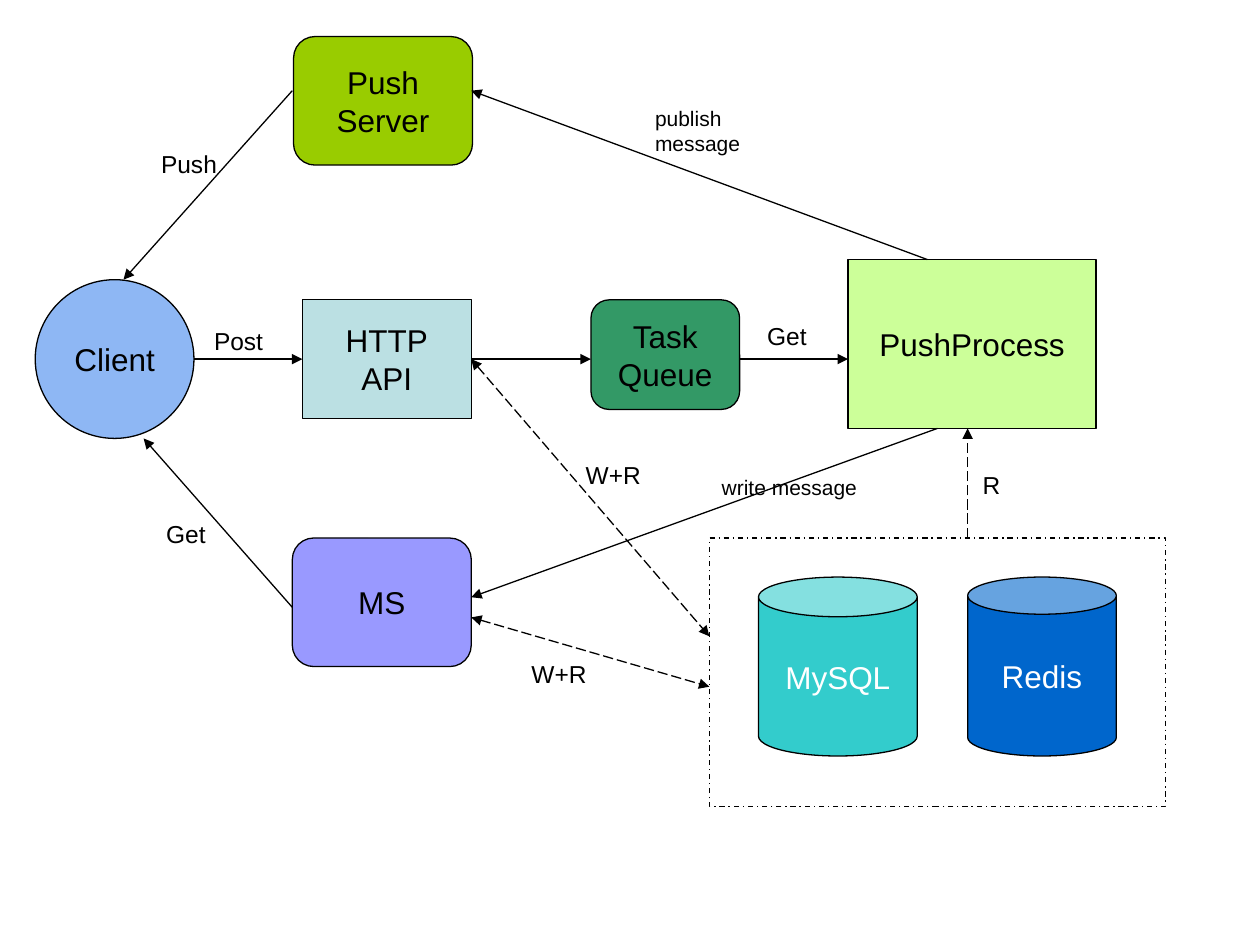
import pptx
import pptx.util
import pptx.dml.color
import pptx.oxml.ns
import pptx.enum.dml
import pptx.enum.shapes
import pptx.enum.text
from dataclasses import dataclass
from lxml import etree

Inches, Pt = pptx.util.Inches, pptx.util.Pt
RGB = pptx.dml.color.RGBColor.from_string
SHAPE = pptx.enum.shapes.MSO_SHAPE
DASH = pptx.enum.dml.MSO_LINE
ANCHOR = pptx.enum.text.MSO_ANCHOR
ALIGN = pptx.enum.text.PP_ALIGN
AUTOSIZE = pptx.enum.text.MSO_AUTO_SIZE


@dataclass(frozen=True)
class Theme:
    font: str = "Arial"
    ink: str = "000000"
    light: str = "FFFFFF"
    line: float = 0.75
    node: int = 18
    label: int = 14
    note: int = 12
    client: str = "8EB7F4"
    api: str = "BBE0E3"
    queue: str = "339966"
    process: str = "CCFF99"
    ms: str = "9999FF"
    server: str = "99CC00"
    mysql: str = "33CCCC"
    redis: str = "0066CC"


T = Theme()

# Shared coordinates
FLOW_Y = 2.85          # main row of arrows
API_RIGHT = 3.74       # right edge of the API and MS boxes
STORE_LEFT, STORE_TOP = 5.63, 4.27

# name: (preset, left, top, width, height, fill, text colour, lines)
NODES = {
    "client": (SHAPE.OVAL, 0.28, 2.22, 1.26, 1.26, T.client, T.ink, ["Client"]),
    "api": (SHAPE.RECTANGLE, 2.4, 2.38, 1.34, 0.94, T.api, T.ink, ["HTTP", "API"]),
    "queue": (SHAPE.ROUNDED_RECTANGLE, 4.69, 2.38, 1.18, 0.87, T.queue, T.ink,
              ["Task", "Queue"]),
    "process": (SHAPE.RECTANGLE, 6.73, 2.06, 1.97, 1.34, T.process, T.ink,
                ["PushProcess"]),
    "ms": (SHAPE.ROUNDED_RECTANGLE, 2.32, 4.27, 1.42, 1.02, T.ms, T.ink, ["MS"]),
    "server": (SHAPE.ROUNDED_RECTANGLE, 2.33, 0.29, 1.42, 1.02, T.server, T.ink,
               ["Push", "Server"]),
    "store": (SHAPE.RECTANGLE, STORE_LEFT, STORE_TOP, 3.62, 2.13, None, T.ink, []),
    "mysql": (SHAPE.CAN, 6.02, 4.58, 1.26, 1.42, T.mysql, T.light, ["MySQL"]),
    "redis": (SHAPE.CAN, 7.68, 4.58, 1.18, 1.42, T.redis, T.light, ["Redis"]),
}

# (from, to, options)
ARROWS = [
    ((1.54, FLOW_Y), (2.4, FLOW_Y), {"end": ("api", 1)}),
    ((API_RIGHT, FLOW_Y), (4.69, FLOW_Y), {"begin": ("api", 3)}),
    ((5.87, FLOW_Y), (6.73, FLOW_Y), {}),
    ((2.32, 0.72), (0.98, 2.22), {}),
    ((2.32, 4.82), (1.14, 3.48), {}),
    ((7.36, 2.06), (API_RIGHT, 0.72), {}),
    ((7.44, 3.4), (API_RIGHT, 4.74), {}),
    ((7.68, STORE_TOP), (7.68, 3.4), {"dashed": True}),
    ((API_RIGHT, 4.9), (STORE_LEFT, 5.45), {"dashed": True, "both": True}),
    ((API_RIGHT, FLOW_Y), (STORE_LEFT, 5.05),
     {"dashed": True, "both": True, "begin": ("api", 3)}),
]

# (text, left, top, width, height, size)
LABELS = [
    ("Push", 1.18, 1.13, 0.67, 0.34, T.label),
    ("Post", 1.6, 2.54, 0.72, 0.34, T.label),
    ("Get", 1.22, 4.07, 0.63, 0.34, T.label),
    ("Get", 5.99, 2.5, 0.74, 0.34, T.label),
    ("R", 7.7, 3.68, 0.61, 0.34, T.label),
    ("W+R", 4.55, 3.6, 0.84, 0.34, T.label),
    ("W+R", 4.12, 5.18, 0.84, 0.34, T.label),
    ("publish message", 5.1, 0.79, 0.92, 0.5, T.note),
    ("write message", 5.63, 3.72, 1.43, 0.3, T.note),
]


def set_attrs(obj, values):
    for name, value in values.items():
        setattr(obj, name, value)


def write_text(tf, lines, size, color, align):
    for i, line in enumerate(lines):
        p = tf.paragraphs[0] if i == 0 else tf.add_paragraph()
        p.alignment = align
        r = p.add_run()
        r.text = line
        set_attrs(r.font, {"name": T.font, "size": Pt(size)})
        r.font.color.rgb = RGB(color)


def style_line(line, dash=None):
    line.color.rgb = RGB(T.ink)
    set_attrs(line, {"width": Pt(T.line), "dash_style": dash})


def add_node(s, preset, x, y, w, h, fill, color, lines):
    sp = s.shapes.add_shape(preset, Inches(x), Inches(y), Inches(w), Inches(h))
    sp.shadow.inherit = False
    if fill:
        sp.fill.solid()
        sp.fill.fore_color.rgb = RGB(fill)
        style_line(sp.line)
    else:
        sp.fill.background()
        style_line(sp.line, DASH.DASH_DOT)
    set_attrs(sp.text_frame, {"word_wrap": False, "vertical_anchor": ANCHOR.MIDDLE})
    write_text(sp.text_frame, lines, T.node, color, ALIGN.CENTER)
    return sp


def add_arrow(s, nodes, start, stop, begin=None, end=None, dashed=False, both=False):
    c = s.shapes.add_connector(pptx.enum.shapes.MSO_CONNECTOR.STRAIGHT,
                               *(Inches(v) for v in start + stop))
    if begin:
        c.begin_connect(nodes[begin[0]], begin[1])
    if end:
        c.end_connect(nodes[end[0]], end[1])
    style_line(c.line, DASH.LONG_DASH if dashed else None)
    # Arrowheads, and no theme shadow
    qn = pptx.oxml.ns.qn
    ln = c.line._get_or_add_ln()
    for tag in ("a:headEnd", "a:tailEnd") if both else ("a:tailEnd",):
        etree.SubElement(ln, qn(tag), type="triangle")
    etree.SubElement(c._element.spPr, qn("a:effectLst"))


def add_label(s, text, x, y, w, h, size):
    tb = s.shapes.add_textbox(Inches(x), Inches(y), Inches(w), Inches(h))
    set_attrs(tb.text_frame, {"word_wrap": True,
                              "auto_size": AUTOSIZE.SHAPE_TO_FIT_TEXT})
    write_text(tb.text_frame, [text], size, T.ink, ALIGN.LEFT)


def main():
    prs = pptx.Presentation()
    set_attrs(prs, {"slide_width": Inches(10), "slide_height": Inches(7.5)})
    s = prs.slides.add_slide(prs.slide_layouts[6])

    # Components
    nodes = {name: add_node(s, *node) for name, node in NODES.items()}
    # Message flow
    for start, stop, options in ARROWS:
        add_arrow(s, nodes, start, stop, **options)
    # Flow labels
    for label in LABELS:
        add_label(s, *label)

    prs.save("out.pptx")


if __name__ == "__main__":
    main()
